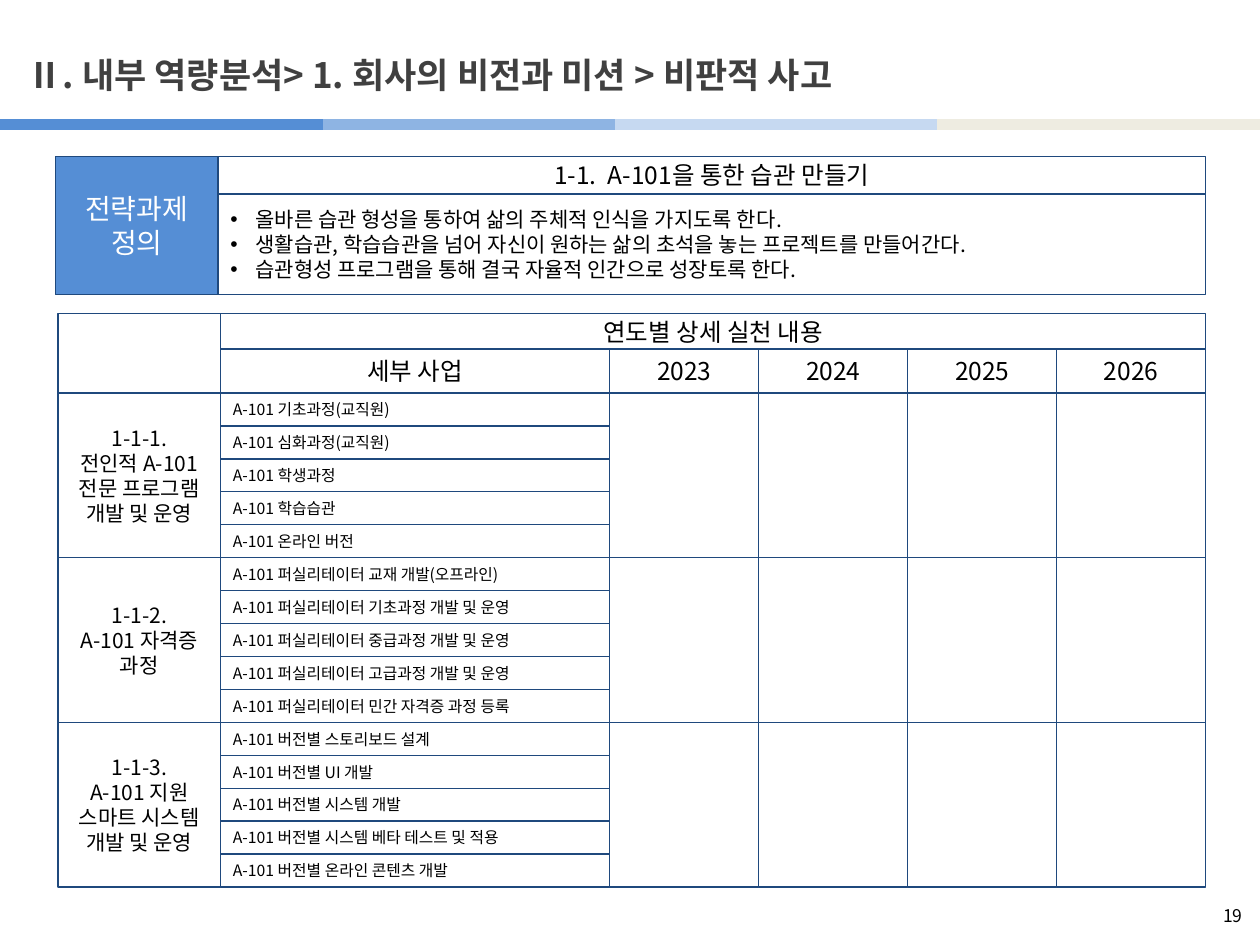
from lxml.etree import SubElement
from pptx import Presentation
from pptx.dml.color import RGBColor
from pptx.enum.shapes import MSO_CONNECTOR, MSO_SHAPE
from pptx.enum.text import MSO_ANCHOR, PP_ALIGN
from pptx.oxml.ns import qn
from pptx.util import Inches, Pt

FONT = "Noto Sans CJK KR"
NAVY, BLUE, BLACK, WHITE, GREY = "1F497D", "558ED5", "000000", "FFFFFF", "404040"

YEARS = ["2023", "2024", "2025", "2026"]
STRATEGIES = [
    (["1-1-1.", "전인적 A-101 전문 프로그램 개발 및 운영"],
     ["기초과정(교직원)", "심화과정(교직원)", "학생과정", "학습습관", "온라인 버전"]),
    (["1-1-2.", "A-101 자격증 과정"],
     ["퍼실리테이터 교재 개발(오프라인)", "퍼실리테이터 기초과정 개발 및 운영",
      "퍼실리테이터 중급과정 개발 및 운영", "퍼실리테이터 고급과정 개발 및 운영",
      "퍼실리테이터 민간 자격증 과정 등록"]),
    (["1-1-3.", "A-101 지원 스마트 시스템 개발 및 운영"],
     ["버전별 스토리보드 설계", "버전별 UI 개발", "버전별 시스템 개발",
      "버전별 시스템 베타 테스트 및 적용", "버전별 온라인 콘텐츠 개발"]),
]


def rgb(value):
    return RGBColor.from_string(value)


def write(shape, lines, size, color=BLACK, align=PP_ALIGN.CENTER, bold=False,
          bullet=False, anchor=MSO_ANCHOR.MIDDLE):
    frame = shape.text_frame
    frame.word_wrap = True
    frame.vertical_anchor = anchor
    frame.text = "\n".join(lines)
    for paragraph in frame.paragraphs:
        paragraph.alignment = align
        properties = paragraph._p.get_or_add_pPr()
        if bullet:
            properties.set("marL", str(Inches(0.2)))
            properties.set("indent", str(-Inches(0.2)))
            SubElement(properties, qn("a:buFont"), typeface="Arial")
            SubElement(properties, qn("a:buChar"), char="•")
        font = paragraph.font
        font.name, font.size, font.bold = FONT, Pt(size), bold
        font.color.rgb = rgb(color)
        # Korean letters take the East Asian typeface
        SubElement(properties.find(qn("a:defRPr")), qn("a:ea"), typeface=FONT)


def add_box(slide, left, top, width, height, lines=(), size=12, fill=None, **style):
    shape = slide.shapes.add_shape(MSO_SHAPE.RECTANGLE, Inches(left), Inches(top),
                                   Inches(width), Inches(height))
    shape.shadow.inherit = False
    shape.line.color.rgb = rgb(NAVY)
    shape.line.width = Pt(0.75)
    if fill:
        shape.fill.solid()
        shape.fill.fore_color.rgb = rgb(fill)
    else:
        shape.fill.background()
    if lines:
        write(shape, lines, size, **style)


def add_header(slide, left, top, width, height):
    # Four-colour rule under the title, the blue part on top
    for start, end, color in [(2.32, 4.88, "8EB4E3"), (4.88, 7.44, "C6D9F1"),
                              (7.44, 10, "EEECE1"), (0, 2.56, BLUE)]:
        rule = slide.shapes.add_connector(MSO_CONNECTOR.STRAIGHT, Inches(start),
                                          Inches(0.99), Inches(end), Inches(0.99))
        rule.line.color.rgb = rgb(color)
        rule.line.width = Pt(6)
        SubElement(rule._element.spPr, qn("a:effectLst"))
    # Title
    title = slide.shapes.title
    title.left, title.top = Inches(left), Inches(top)
    title.width, title.height = Inches(width), Inches(height)
    write(title, ["Ⅱ. 내부 역량분석> 1. 회사의 비전과 미션 > 비판적 사고"], 20,
          color=GREY, align=PP_ALIGN.LEFT, bold=True)


def add_definition(slide, left, top, width, height):
    label_width, heading_height = 1.29, 0.3
    body_left, body_width = left + label_width, width - label_width
    add_box(slide, left, top, label_width, height, ["전략과제", "정의"], 16,
            fill=BLUE, color=WHITE)
    add_box(slide, body_left, top, body_width, heading_height,
            ["1-1.  A-101을 통한 습관 만들기"], 14)
    add_box(slide, body_left, top + heading_height, body_width, height - heading_height,
            ["올바른 습관 형성을 통하여 삶의 주체적 인식을 가지도록 한다.",
             "생활습관, 학습습관을 넘어 자신이 원하는 삶의 초석을 놓는 프로젝트를 만들어간다.",
             "습관형성 프로그램을 통해 결국 자율적 인간으로 성장토록 한다."],
            12, align=PP_ALIGN.LEFT, bullet=True)


def add_schedule(slide, left, top, width, height):
    label_width, project_width = 1.29, 3.09
    heading_height, year_height = 0.28, 0.35
    project_left = left + label_width
    year_left = project_left + project_width
    year_width = (left + width - year_left) / len(YEARS)
    year_top = top + heading_height
    grid_top = year_top + year_height
    group_height = (top + height - grid_top) / len(STRATEGIES)

    # Headings
    add_box(slide, left, top, label_width, heading_height + year_height)
    add_box(slide, project_left, top, width - label_width, heading_height,
            ["연도별 상세 실천 내용"], 14)
    add_box(slide, project_left, year_top, project_width, year_height, ["세부 사업"], 14)
    for column, year in enumerate(YEARS):
        add_box(slide, year_left + column * year_width, year_top, year_width,
                year_height, [year], 14)

    # One band per strategy: label, projects, empty year cells
    for group, (label, projects) in enumerate(STRATEGIES):
        group_top = grid_top + group * group_height
        add_box(slide, left, group_top, label_width, group_height, label, 12)
        row_height = group_height / len(projects)
        for row, project in enumerate(projects):
            add_box(slide, project_left, group_top + row * row_height, project_width,
                    row_height, [f"A-101 {project}"], 9, align=PP_ALIGN.LEFT)
        for column in range(len(YEARS)):
            add_box(slide, year_left + column * year_width, group_top, year_width,
                    group_height)


def add_page_number(slide, left, top, width, height):
    number = slide.shapes.add_textbox(Inches(left), Inches(top), Inches(width),
                                      Inches(height))
    write(number, ["19"], 10, align=PP_ALIGN.RIGHT, anchor=MSO_ANCHOR.TOP)


def main():
    presentation = Presentation()
    presentation.slide_width, presentation.slide_height = Inches(10), Inches(7.5)
    slide = presentation.slides.add_slide(presentation.slide_layouts[5])
    add_header(slide, 0.12, 0.29, 7.32, 0.6)
    add_definition(slide, 0.44, 1.24, 9.13, 1.1)
    add_schedule(slide, 0.46, 2.49, 9.11, 4.55)
    add_page_number(slide, 9.57, 7.13, 0.39, 0.28)
    presentation.save("out.pptx")


if __name__ == "__main__":
    main()
